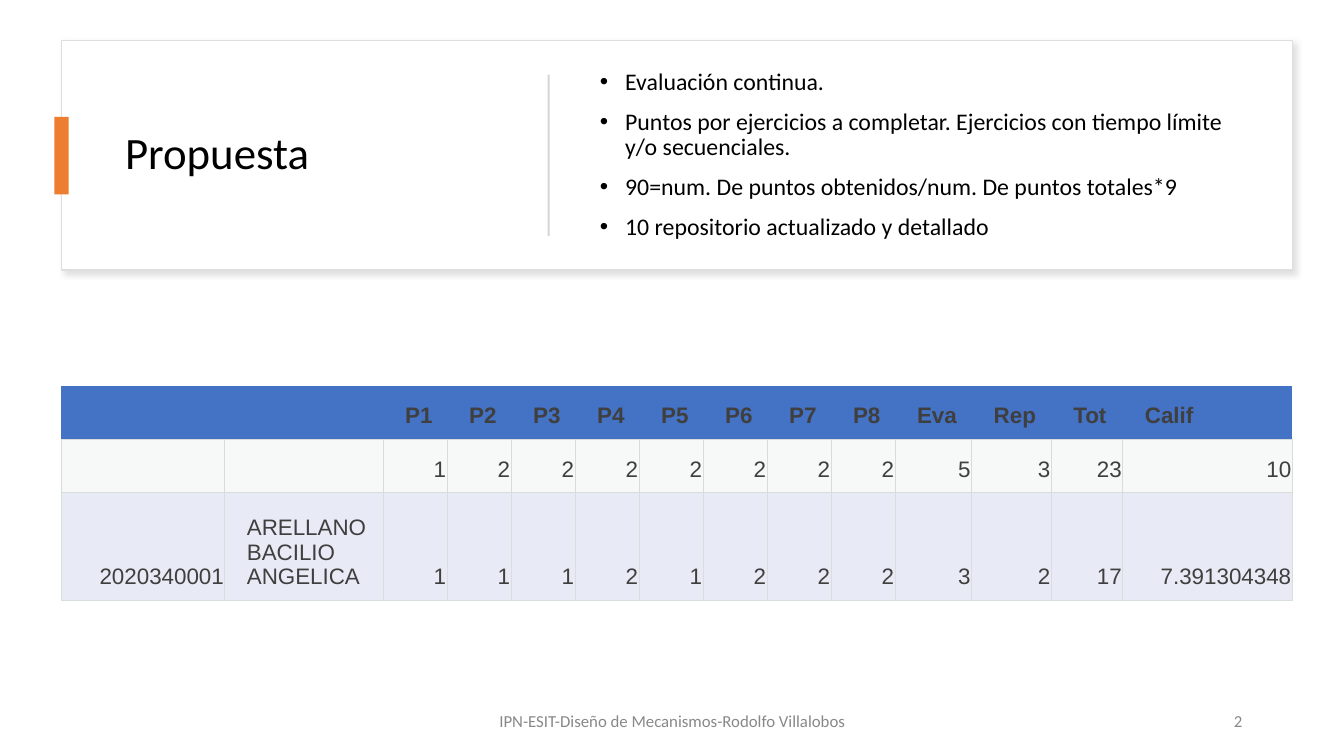
from dataclasses import dataclass
from typing import Optional

import pptx
import pptx.dml.color
import pptx.enum.shapes
import pptx.enum.text
import pptx.oxml
import pptx.oxml.ns
import pptx.util
from pptx.dml.color import RGBColor
from pptx.util import Inches, Pt

WHITE = RGBColor(0xFF, 0xFF, 0xFF)
BLACK = RGBColor(0x00, 0x00, 0x00)
CARD_EDGE = RGBColor(0xDE, 0xDE, 0xDE)
CARD_SHADOW = RGBColor(0xC5, 0xC2, 0xC2)
ORANGE = RGBColor(0xED, 0x7D, 0x31)
DIVIDER_GREY = RGBColor(0xD5, 0xD5, 0xD5)
HEADER_BLUE = RGBColor(0x44, 0x72, 0xC4)
PALE_GREY = RGBColor(0xD8, 0xDE, 0xDC)
GRID_GREY = RGBColor(0xD8, 0xDC, 0xDC)
PALE_BLUE = RGBColor(0xE8, 0xEB, 0xF5)
CELL_TEXT = RGBColor(0x3F, 0x3F, 0x3F)
FOOTER_GREY = RGBColor(0x88, 0x88, 0x88)

ALIGN = pptx.enum.text.PP_ALIGN
MIDDLE = pptx.enum.text.MSO_ANCHOR.MIDDLE
NO_TABLE_STYLE = "{2D5ABB26-0587-4C30-8999-92F81FD0307C}"


@dataclass(frozen=True)
class Area:
    left: float
    top: float
    width: float
    height: float

    def lengths(self) -> tuple:
        return tuple(map(Inches, (self.left, self.top, self.width, self.height)))


@dataclass(frozen=True)
class Panel:
    area: Area
    fill: RGBColor
    edge: Optional[RGBColor] = None
    rotation: int = 0


@dataclass(frozen=True)
class Footer:
    area: Area
    text: str
    align: ALIGN


@dataclass(frozen=True)
class GradeRow:
    height: float
    texts: list[str]
    fill: RGBColor
    borders: dict[str, RGBColor]
    opacity: int = 100
    header: bool = False


CARD = Panel(Area(0.61, 0.4, 12.21, 2.28), WHITE, CARD_EDGE)
ACCENT = Panel(Area(0.54, 1.16, 0.14, 0.77), ORANGE)
DIVIDER = Panel(Area(4.64, 1.53, 1.6, 0.02), DIVIDER_GREY, rotation=90)
TITLE_AREA = Area(1.14, 0.64, 3.89, 1.8)
BODY_AREA = Area(5.85, 0.64, 6.56, 1.8)
BULLETS = [
    "Evaluación continua.",
    "Puntos por ejercicios a completar. Ejercicios con tiempo límite y/o secuenciales.",
    "90=num. De puntos obtenidos/num. De puntos totales*9",
    "10 repositorio actualizado y detallado",
]
FOOTERS = [
    Footer(Area(9.42, 6.95, 3, 0.4), "2", ALIGN.RIGHT),
    Footer(Area(4.42, 6.95, 4.5, 0.4),
           "IPN-ESIT-Diseño de Mecanismos-Rodolfo Villalobos", ALIGN.CENTER),
]
PRACTICES = 8
COLUMN_WIDTHS = [1.62, 1.57] + [5.08 / PRACTICES] * PRACTICES + [0.76, 0.79, 0.71, 1.68]
GRADE_ROWS = [
    GradeRow(0.53, ["", ""] + [f"P{n + 1}" for n in range(PRACTICES)]
             + ["Eva", "Rep", "Tot", "Calif"],
             HEADER_BLUE, {"B": GRID_GREY}, header=True),
    GradeRow(0.53, ["", ""] + "1 2 2 2 2 2 2 2 5 3 23 10".split(),
             PALE_GREY, dict.fromkeys("LRTB", GRID_GREY), opacity=20),
    GradeRow(1.07, ["2020340001", "ARELLANO BACILIO ANGELICA"]
             + "1 1 1 2 1 2 2 2 3 2 17 7.391304348".split(),
             PALE_BLUE, {"L": PALE_GREY, "R": PALE_GREY, "T": GRID_GREY, "B": PALE_GREY}),
]


def xml(markup: str):
    """Parse one element whose outer tag lacks the drawing namespace."""
    tag, rest = markup[:-1].split(" ", 1)
    return pptx.oxml.parse_xml(f"{tag} {pptx.oxml.ns.nsdecls('a')} {rest}>")


def add_span(para, text: str, size: float, color: RGBColor,
             font: str = "Calibri", bold: bool = False) -> None:
    span = para.add_run()
    span.text = text
    span.font.size = Pt(size)
    span.font.name = font
    span.font.bold = bold
    span.font.color.rgb = color


def add_panel(page, panel: Panel):
    shape = page.shapes.add_shape(
        pptx.enum.shapes.MSO_SHAPE.RECTANGLE, *panel.area.lengths())
    shape.shadow.inherit = False
    shape.rotation = panel.rotation
    shape.fill.solid()
    shape.fill.fore_color.rgb = panel.fill
    if panel.edge is None:
        shape.line.fill.background()
    else:
        shape.line.color.rgb = panel.edge
        shape.line.width = Pt(1)
    return shape


def cast_shadow(shape) -> None:
    effects = shape.element.spPr.find(pptx.oxml.ns.qn("a:effectLst"))
    effects.append(xml(
        f'<a:outerShdw blurRad="{Pt(4)}" dist="{Pt(3)}" dir="2700000" algn="tl" '
        f'rotWithShape="0"><a:srgbClr val="{CARD_SHADOW}"><a:alpha val="49000"/>'
        '</a:srgbClr></a:outerShdw>'))


def place(box, area: Area):
    """Position a text holder and return its prepared text frame."""
    box.left, box.top, box.width, box.height = area.lengths()
    frame = box.text_frame
    frame.word_wrap = True
    frame.auto_size = pptx.enum.text.MSO_AUTO_SIZE.NONE
    frame.vertical_anchor = MIDDLE
    return frame


def fill_title(title) -> None:
    para = place(title, TITLE_AREA).paragraphs[0]
    para.alignment = ALIGN.LEFT
    para.line_spacing = 0.9
    add_span(para, "Propuesta", 32, BLACK)


def fill_body(body) -> None:
    frame = place(body, BODY_AREA)
    for index, text in enumerate(BULLETS):
        para = frame.add_paragraph() if index else frame.paragraphs[0]
        props = para._p.get_or_add_pPr()
        props.set("marL", str(Inches(0.25)))
        props.set("indent", str(Inches(-0.25)))
        props.append(xml(f'<a:buClr ><a:srgbClr val="{BLACK}"/></a:buClr>'))
        props.append(xml('<a:buFont typeface="Arial"/>'))
        props.append(xml('<a:buChar char="•"/>'))
        para.line_spacing = 0.9
        para.space_before = Pt(10 if index else 0)
        add_span(para, text, 17, BLACK)


def format_cell(cell, text: str, row: GradeRow, align: ALIGN) -> None:
    cell.margin_left, cell.margin_right = Inches(0.22), Inches(0.01)
    cell.margin_top = cell.margin_bottom = Inches(0.11)
    cell.vertical_anchor = pptx.enum.text.MSO_ANCHOR.BOTTOM
    props = cell._tc.get_or_add_tcPr()
    for side, color in row.borders.items():
        props.append(xml(f'<a:ln{side} w="{Pt(0.75)}"><a:solidFill><a:srgbClr '
                         f'val="{color}"/></a:solidFill></a:ln{side}>'))
    cell.fill.solid()
    cell.fill.fore_color.rgb = row.fill
    if row.opacity < 100:
        color = props.find(".//" + pptx.oxml.ns.qn("a:solidFill") + "[last()]")
        color = props.findall(pptx.oxml.ns.qn("a:solidFill"))[0][0]
        color.append(xml(f'<a:alpha val="{row.opacity * 1000}"/>'))
    if text:
        para = cell.text_frame.paragraphs[0]
        para.alignment = align
        add_span(para, text, 16, CELL_TEXT, "Arial", row.header)


def add_grades(page) -> None:
    area = Area(0.61, 3.83, sum(COLUMN_WIDTHS), sum(row.height for row in GRADE_ROWS))
    holder = page.shapes.add_table(len(GRADE_ROWS), len(COLUMN_WIDTHS), *area.lengths())
    next(holder.element.iter(pptx.oxml.ns.qn("a:tableStyleId"))).text = NO_TABLE_STYLE
    table = holder.table
    for column, width in zip(table.columns, COLUMN_WIDTHS):
        column.width = Inches(width)
    for line, row in zip(table.rows, GRADE_ROWS):
        line.height = Inches(row.height)
        for cell, text in zip(line.cells, row.texts):
            numeric = text.replace(".", "").isdigit()
            format_cell(cell, text, row, ALIGN.RIGHT if numeric else ALIGN.LEFT)


def main() -> None:
    deck = pptx.Presentation()
    deck.slide_width, deck.slide_height = Inches(13.33), Inches(7.5)
    page = deck.slides.add_slide(deck.slide_layouts[1])
    title, body = page.placeholders
    card = add_panel(page, CARD)
    cast_shadow(card)
    title.element.addprevious(card.element)
    for panel in (ACCENT, DIVIDER):
        body.element.addprevious(add_panel(page, panel).element)
    fill_title(title)
    fill_body(body)
    add_grades(page)
    for footer in FOOTERS:
        box = page.shapes.add_textbox(*footer.area.lengths())
        para = place(box, footer.area).paragraphs[0]
        para.alignment = footer.align
        add_span(para, footer.text, 12, FOOTER_GREY)
    deck.save("out.pptx")


if __name__ == "__main__":
    main()
